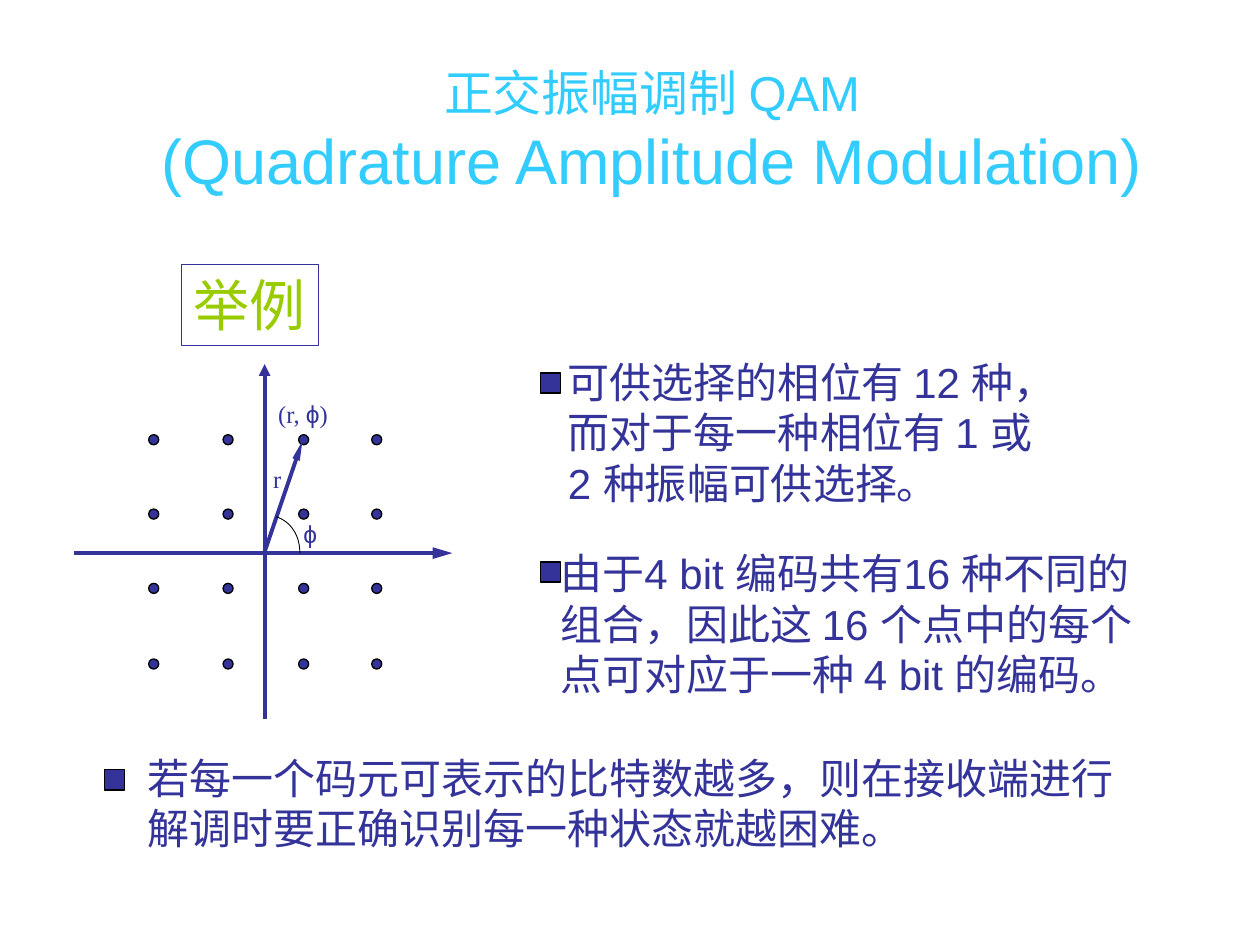
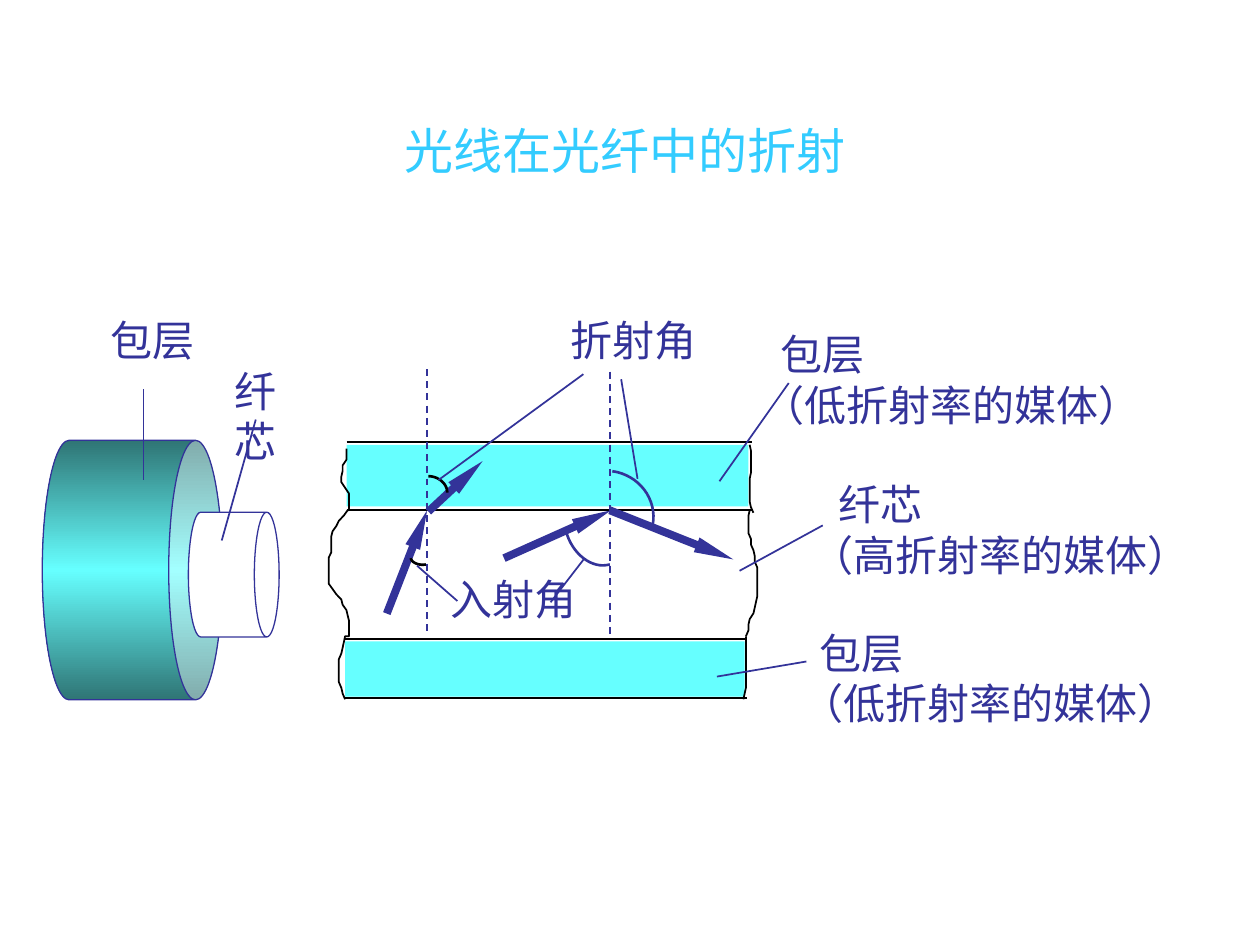
import copy
import itertools
from dataclasses import dataclass
from typing import Optional, Sequence

import lxml.etree
import pptx
import pptx.dml.color
import pptx.enum.dml
import pptx.enum.shapes
import pptx.enum.text
import pptx.oxml.ns
import pptx.slide
import pptx.util

Inches = pptx.util.Inches
Pt = pptx.util.Pt
RGBColor = pptx.dml.color.RGBColor
Shapes = pptx.enum.shapes.MSO_SHAPE
AutoSize = pptx.enum.text.MSO_AUTO_SIZE
qn = pptx.oxml.ns.qn

# Shared look
SKY = RGBColor(0x33, 0xCC, 0xFF)
INDIGO = RGBColor(0x33, 0x33, 0x99)
BLACK = RGBColor(0, 0, 0)
WHITE = RGBColor(0xFF, 0xFF, 0xFF)
GREEN = RGBColor(0x99, 0xCC, 0x00)
AQUA = RGBColor(0x66, 0xFF, 0xFF)
TEAL = RGBColor(0x2F, 0x75, 0x75)
SANS, SERIF, CJK, ROBOTO = "Arial", "Times New Roman", "Noto Sans CJK SC", "Roboto"

Point = tuple[float, float]
Arrowhead = tuple[str, str]

# Arrowhead width and length
REGULAR: Arrowhead = ("med", "med")
LONG: Arrowhead = ("med", "lg")
SLENDER: Arrowhead = ("sm", "lg")


@dataclass
class Run:
    text: str
    size: float = 24
    font: str = SANS
    color: RGBColor = INDIGO


@dataclass
class Label:
    left: float
    top: float
    width: float
    height: float
    lines: Sequence[Sequence[Run]]
    first_indent: float = 0
    wrap: bool = False
    outline: Optional[RGBColor] = None


@dataclass
class Line:
    start: Point
    end: Point
    width: float = 1
    color: RGBColor = INDIGO
    arrowhead: Optional[Arrowhead] = None
    dashed: bool = False


@dataclass
class Arc:
    controls: Sequence[Point]
    color: RGBColor
    width: float = 1.5


@dataclass
class Band:
    line_left: float
    line_right: float
    line_top: float
    line_bottom: float
    fill_left: float
    fill_width: float
    fill_height: float


@dataclass
class RaggedEdge:
    """Outline whose points step evenly from top to bottom."""
    top: float
    bottom: float
    xs: Sequence[float]

    def points(self) -> list[Point]:
        step = (self.bottom - self.top) / (len(self.xs) - 1)
        return [(x, self.top + index * step) for index, x in enumerate(self.xs)]


def add_run(paragraph, run: Run) -> None:
    text_run = paragraph.add_run()
    text_run.text = run.text
    text_run.font.size = Pt(run.size)
    text_run.font.name = run.font
    text_run.font.color.rgb = run.color
    properties = text_run.font._element
    lxml.etree.SubElement(properties, qn("a:ea")).set("typeface", CJK)


def add_titled_slide(presentation, left: float, top: float, width: float, height: float,
                     lines: Sequence[Run]) -> pptx.slide.Slide:
    slide = presentation.slides.add_slide(presentation.slide_layouts[5])
    title = slide.shapes.title
    title.left, title.top = Inches(left), Inches(top)
    title.width, title.height = Inches(width), Inches(height)
    frame = title.text_frame
    frame.auto_size = AutoSize.NONE
    frame.vertical_anchor = pptx.enum.text.MSO_ANCHOR.MIDDLE
    paragraph = frame.paragraphs[0]
    paragraph.alignment = pptx.enum.text.PP_ALIGN.CENTER
    for index, run in enumerate(lines):
        if index:
            paragraph.add_line_break()
        add_run(paragraph, run)
    return slide


def add_label(slide: pptx.slide.Slide, label: Label) -> None:
    shape = slide.shapes.add_textbox(Inches(label.left), Inches(label.top),
                                     Inches(label.width), Inches(label.height))
    if label.outline is not None:
        shape.line.color.rgb = label.outline
        shape.line.width = Pt(0.75)
    frame = shape.text_frame
    frame.word_wrap = label.wrap
    frame.auto_size = AutoSize.SHAPE_TO_FIT_TEXT
    for index, runs in enumerate(label.lines):
        paragraph = frame.add_paragraph() if index else frame.paragraphs[0]
        if index == 0 and label.first_indent:
            indent = int(Inches(label.first_indent))
            paragraph._p.get_or_add_pPr().set("marL", str(indent))
        for run in runs:
            add_run(paragraph, run)


def add_line(slide: pptx.slide.Slide, line: Line) -> None:
    connector = slide.shapes.add_connector(
        pptx.enum.shapes.MSO_CONNECTOR.STRAIGHT,
        *(Inches(value) for value in line.start + line.end))
    connector.line.color.rgb = line.color
    connector.line.width = Pt(line.width)
    if line.dashed:
        connector.line.dash_style = pptx.enum.dml.MSO_LINE.DASH
    properties = connector._element.spPr
    if line.arrowhead is not None:
        tail = lxml.etree.SubElement(properties.find(qn("a:ln")), qn("a:tailEnd"))
        for name, value in zip(("type", "w", "len"), ("triangle", *line.arrowhead)):
            tail.set(name, value)
    lxml.etree.SubElement(properties, qn("a:effectLst"))


def add_solid(slide: pptx.slide.Slide, kind, left: float, top: float, width: float,
              height: float, fill: RGBColor, outline: Optional[RGBColor] = None):
    shape = slide.shapes.add_shape(kind, Inches(left), Inches(top), Inches(width), Inches(height))
    shape.shadow.inherit = False
    shape.fill.solid()
    shape.fill.fore_color.rgb = fill
    if outline is None:
        shape.line.fill.background()
    else:
        shape.line.color.rgb = outline
        shape.line.width = Pt(0.75)
    return shape


def add_outline(slide: pptx.slide.Slide, points: Sequence[Point], color: RGBColor,
                width: float) -> None:
    corners = [(Inches(x), Inches(y)) for x, y in points]
    builder = slide.shapes.build_freeform(*corners[0])
    builder.add_line_segments(corners[1:], close=False)
    shape = builder.convert_to_shape()
    shape.shadow.inherit = False
    shape.fill.background()
    shape.line.color.rgb = color
    shape.line.width = Pt(width)


def add_arc(slide: pptx.slide.Slide, arc: Arc, steps: int = 16) -> None:
    """Trace a cubic curve through its four control points."""
    points = []
    for index in range(steps + 1):
        t = index / steps
        weights = ((1 - t) ** 3, 3 * t * (1 - t) ** 2, 3 * t * t * (1 - t), t ** 3)
        points.append(tuple(sum(weight * control[axis]
                                for weight, control in zip(weights, arc.controls))
                            for axis in (0, 1)))
    add_outline(slide, points, arc.color, arc.width)


def add_band(slide: pptx.slide.Slide, band: Band) -> None:
    for y in (band.line_top, band.line_bottom):
        add_line(slide, Line((band.line_left, y), (band.line_right, y), color=BLACK))
    add_solid(slide, Shapes.RECTANGLE, band.fill_left, band.line_top + 0.02,
              band.fill_width, band.fill_height, AQUA)


def add_cylinder(slide: pptx.slide.Slide, left: float, top: float, width: float,
                 height: float, rim: float):
    can = add_solid(slide, Shapes.CAN, left, top, width, height, WHITE, INDIGO)
    can.rotation = 90
    can.adjustments[0] = rim
    return can


def build_qam_slide(presentation) -> None:
    slide = add_titled_slide(presentation, 0.62, 0.23, 9.11, 1.6, [
        Run("正交振幅调制 QAM", 28, SANS, SKY),
        Run("(Quadrature Amplitude Modulation)", 36, SANS, SKY)])

    # Constellation: 4 x 4 points, axes and one marked vector
    for x, y in itertools.product((1.18, 1.77, 2.37, 2.95), (3.45, 4.04, 4.63, 5.23)):
        add_solid(slide, Shapes.OVAL, x, y, 0.08, 0.08, INDIGO, BLACK)
    for start, end, arrowhead in (((2.1, 5.71), (2.1, 2.89), REGULAR),
                                  ((0.59, 4.39), (3.59, 4.39), LONG),
                                  ((2.1, 4.38), (2.4, 3.5), SLENDER)):
        add_line(slide, Line(start, end, 2.25, arrowhead=arrowhead))
    add_arc(slide, Arc(((2.19, 4.1), (2.31, 4.14), (2.38, 4.25), (2.38, 4.39)), BLACK, 0.5))

    # Explanations
    labels = [
        Label(2.07, 3.63, 0.26, 0.34, [[Run("r", 14, SERIF)]]),
        Label(2.31, 4.07, 0.32, 0.34, [[Run("ϕ", 14)]]),
        Label(2.11, 3.12, 0.61, 0.34,
              [[Run("(r, ", 14, SERIF), Run("ϕ", 14), Run(")", 14, SERIF)]]),
        Label(4.41, 2.78, 4.23, 1.3, [[Run("可供选择的相位有 12 种，")],
                                      [Run("而对于每一种相位有 1 或")],
                                      [Run("2 种振幅可供选择。")]]),
        Label(4.35, 4.3, 5.04, 1.3, [[Run("由于4 bit 编码共有16 种不同的")],
                                     [Run("组合，因此这 16 个点中的每个")],
                                     [Run("点可对应于一种 4 bit 的编码。")]]),
        Label(1.07, 5.92, 8, 0.9,
              [[Run("若每一个码元可表示的比特数越多，则在接收端进行", font=CJK)],
               [Run("解调时要正确识别每一种状态就越困难。", font=CJK)]]),
        Label(1.44, 2.1, 1.09, 0.64, [[Run("举例", 32, ROBOTO, GREEN)]], outline=INDIGO),
    ]
    for label in labels:
        add_label(slide, label)
    for x, y in ((0.83, 6.11), (4.29, 4.46), (4.29, 2.96)):
        add_solid(slide, Shapes.RECTANGLE, x, y, 0.16, 0.16, INDIGO, BLACK)


def build_fibre_slide(presentation) -> None:
    slide = add_titled_slide(presentation, 0.46, 0.84, 9, 0.7,
                             [Run("光线在光纤中的折射", 28, SANS, SKY)])

    # Lengthwise section: cladding bands and ragged ends
    add_band(slide, Band(2.75, 5.97, 3.51, 4.05, 2.75, 3.19, 0.49))
    add_band(slide, Band(2.73, 5.93, 5.07, 5.54, 2.74, 3.17, 0.44))
    left_end = [
        RaggedEdge(3.56, 4.05, [2.75] * 3 + [2.72] * 2 + [2.71] * 2 + [2.74] + [2.77] * 4),
        RaggedEdge(4.05, 5.05, [2.76, 2.73, 2.69, 2.67, 2.64] + [2.63] * 4 + [2.61] * 6
                   + [2.64, 2.67, 2.71, 2.72, 2.75, 2.76] + [2.77] * 4),
        RaggedEdge(5.05, 5.55, [2.74, 2.73, 2.72, 2.71] + [2.69] * 5 + [2.71, 2.72, 2.74])]
    right_end = [
        RaggedEdge(3.53, 4.07, [5.95] + [5.96] * 5 + [5.95] * 5 + [5.96, 5.98]),
        RaggedEdge(4.05, 5.05, [5.95] + [5.94] * 4 + [5.96] * 2 + [5.98, 5.99, 5.99]
                   + [6.01] * 6 + [6, 5.99, 5.98, 5.95, 5.94, 5.94, 5.92]),
        RaggedEdge(5.05, 5.55, [5.92] * 10 + [5.91, 5.9])]
    outlines = [[point for edge in left_end for point in edge.points()]]
    outlines += [edge.points() for edge in right_end]
    for points in outlines:
        add_outline(slide, points, BLACK, 1)

    # Normals, rays and their angles
    for x, top in ((3.39, 2.93), (4.84, 2.95)):
        add_line(slide, Line((x, top), (x, top + 2.12), dashed=True))
    for start, end in (((3.4, 4.06), (3.83, 3.66)), ((3.07, 4.87), (3.39, 4.05)),
                       ((4, 4.43), (4.85, 4.05)), ((4.84, 4.05), (5.82, 4.44))):
        add_line(slide, Line(start, end, 4.5, arrowhead=SLENDER))
    for arc in (Arc(((3.38, 4.48), (3.33, 4.49), (3.27, 4.47), (3.26, 4.43)), BLACK),
                Arc(((3.4, 3.78), (3.48, 3.78), (3.55, 3.84), (3.55, 3.91)), BLACK),
                Arc(((4.84, 4.48), (4.7, 4.52), (4.54, 4.4), (4.49, 4.21)), INDIGO),
                Arc(((4.86, 3.74), (5.07, 3.77), (5.22, 3.96), (5.18, 4.17)), INDIGO)):
        add_arc(slide, arc)

    # Fibre end: cladding around the core
    cladding = add_cylinder(slide, 0.02, 3.81, 2.06, 1.43, 0.298)
    cladding.fill.gradient()
    cladding.fill.gradient_angle = 0
    stop_list = cladding._element.spPr.find(".//" + qn("a:gsLst"))
    stop_list.append(copy.deepcopy(stop_list[0]))
    for stop, position, color in zip(cladding.fill.gradient_stops, (0, 0.5, 1),
                                     (TEAL, AQUA, TEAL)):
        stop.position = position
        stop.color.rgb = color
    add_cylinder(slide, 1.36, 4.2, 0.99, 0.72, 0.273)

    # Leader lines and labels
    for start, end in (((4.93, 3.01), (5.06, 3.8)), ((3.48, 3.81), (4.63, 2.97)),
                       ((3.31, 4.49), (3.63, 4.77)), ((4.37, 4.78), (4.64, 4.43)),
                       ((5.87, 4.53), (6.53, 4.17)), ((6.26, 3.04), (5.71, 3.82)),
                       ((6.4, 5.25), (5.69, 5.37)), ((1.14, 3.09), (1.14, 3.81)),
                       ((2.03, 3.33), (1.76, 4.29))):
        add_line(slide, Line(start, end))
    low_index = [[Run("包层")], [Run("（低折射率的媒体）")]]
    high_index = [[Run("纤芯")], [Run("（高折射率的媒体）")]]
    for label in (Label(4.43, 2.45, 1.2, 0.5, [[Run("折射角")]]),
                  Label(3.48, 4.5, 1.2, 0.5, [[Run("入射角")]]),
                  Label(5.95, 2.56, 3.2, 0.9, low_index, 0.15),
                  Label(6.26, 4.93, 3.2, 0.9, low_index, 0.15),
                  Label(6.34, 3.75, 3.48, 0.9, high_index, 0.22, wrap=True),
                  Label(0.78, 2.45, 0.95, 0.5, [[Run("包层")]]),
                  Label(1.76, 2.85, 0.76, 0.9, [[Run("纤芯")]], wrap=True)):
        add_label(slide, label)


def main() -> None:
    presentation = pptx.Presentation()
    presentation.slide_width, presentation.slide_height = Inches(10), Inches(7.5)
    build_qam_slide(presentation)
    build_fibre_slide(presentation)
    presentation.save("out.pptx")


if __name__ == "__main__":
    main()
